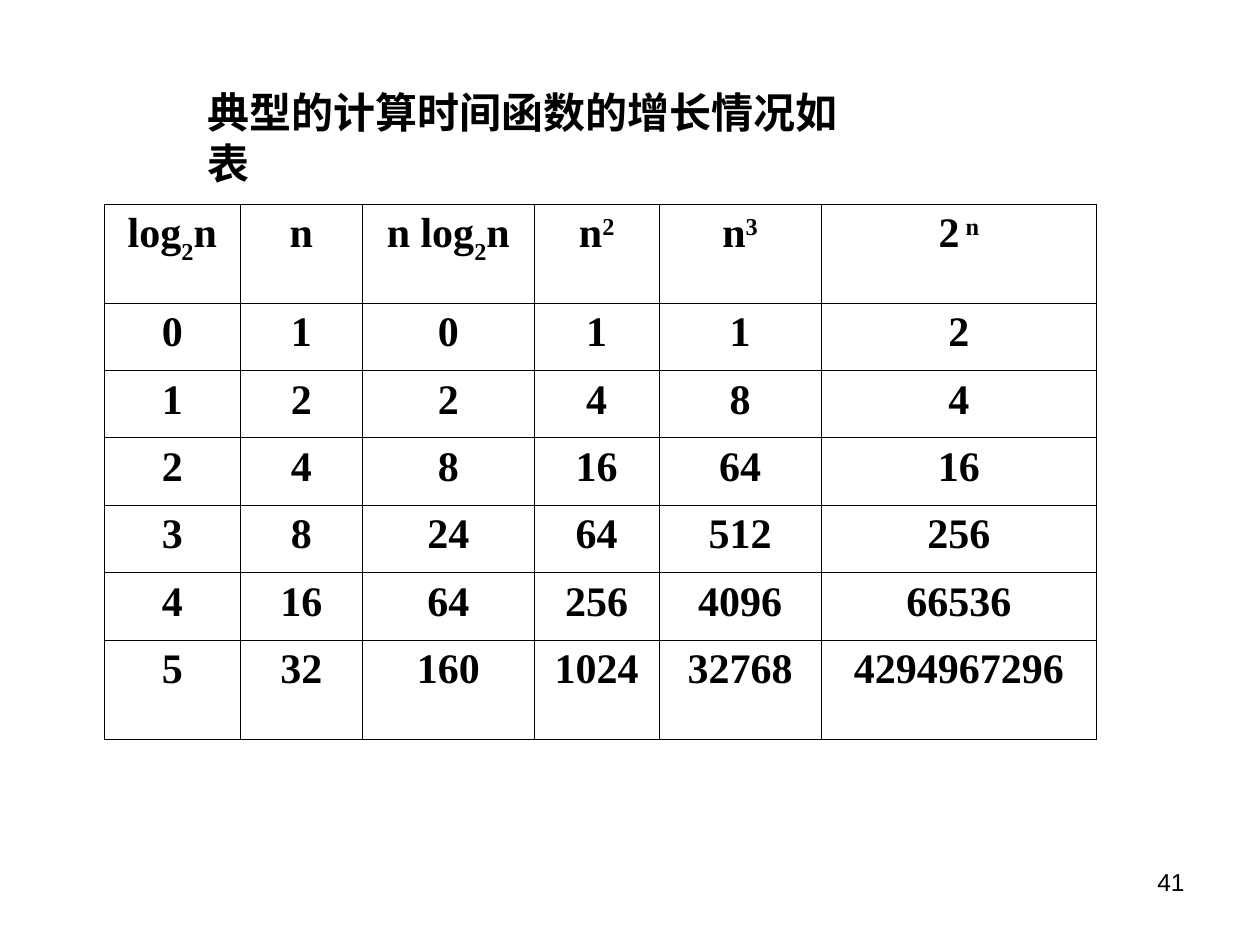
from dataclasses import dataclass

from lxml import etree
from pptx import Presentation
from pptx import util as u
from pptx.dml.color import RGBColor
from pptx.enum import text
from pptx.oxml import ns

Pt = u.Pt


@dataclass(frozen=True)
class Theme:
    ink: str = "000000"
    serif: str = "Times New Roman"
    sans: str = "Arial"
    main: float = 24
    small: float = 14
    rule: float = 0.45


T = Theme()

# Each heading is a list of (text, baseline shift in percent)
HEADS = [
    [("log", 0), ("2", -30), ("n", 0)],
    [("n", 0)],
    [("n log", 0), ("2", -30), ("n", 0)],
    [("n", 0), ("2", 30)],
    [("n", 0), ("3", 30)],
    [("2", 0), (" n", 30)],
]
GROWTH = [
    [0, 1, 0, 1, 1, 2],
    [1, 2, 2, 4, 8, 4],
    [2, 4, 8, 16, 64, 16],
    [3, 8, 24, 64, 512, 256],
    [4, 16, 64, 256, 4096, 66536],
    [5, 32, 160, 1024, 32768, 4294967296],
]
WIDTHS = [77.6, 69.8, 98.2, 71.4, 92.5, 157.5]
HEIGHTS = [56.5] + [38.5] * 5 + [57]


def add_run(para, words, size=T.main, face=T.serif, bold=True, shift=0):
    run = para.add_run()
    run.text = words
    font = run.font
    font.size, font.name, font.bold = Pt(size), face, bold
    font.color.rgb = RGBColor.from_string(T.ink)
    if shift:
        font._element.set("baseline", str(shift * 1000))


def add_label(slide, left, top, width, height, words, align, wrap=True, **style):
    frame = slide.shapes.add_textbox(
        Pt(left), Pt(top), Pt(width), Pt(height)).text_frame
    frame.word_wrap = wrap
    para = frame.paragraphs[0]
    para.alignment = align
    add_run(para, words, **style)
    return frame


def add_edges(cell):
    props = cell._tc.get_or_add_tcPr()
    for i, side in enumerate(("lnL", "lnR", "lnT", "lnB")):
        line = etree.Element(ns.qn(f"a:{side}"), w=str(int(Pt(T.rule))))
        fill = etree.SubElement(line, ns.qn("a:solidFill"))
        etree.SubElement(fill, ns.qn("a:srgbClr"), val=T.ink)
        props.insert(i, line)


def fill_cell(cell, parts):
    cell.fill.background()
    add_edges(cell)
    para = cell.text_frame.paragraphs[0]
    para.alignment = text.PP_ALIGN.CENTER
    for words, shift in parts:
        add_run(para, words, shift=shift)


def add_grid(slide, left, top, rows):
    table = slide.shapes.add_table(
        len(rows), len(WIDTHS), Pt(left), Pt(top),
        Pt(sum(WIDTHS)), Pt(sum(HEIGHTS))).table
    table.first_row = table.horz_banding = False
    for col, width in zip(table.columns, WIDTHS):
        col.width = Pt(width)
    for row, height, items in zip(table.rows, HEIGHTS, rows):
        row.height = Pt(height)
        for cell, parts in zip(row.cells, items):
            fill_cell(cell, parts)


def main():
    deck = Presentation()
    deck.slide_width, deck.slide_height = Pt(720), Pt(540)
    slide = deck.slides.add_slide(deck.slide_layouts[6])

    # Title
    title = add_label(slide, 111.5, 60.5, 398, 36,
                      "典型的计算时间函数的增长情况如表",
                      text.PP_ALIGN.LEFT, wrap=False)
    title.vertical_anchor = text.MSO_ANCHOR.MIDDLE
    title.auto_size = text.MSO_AUTO_SIZE.SHAPE_TO_FIT_TEXT

    # Growth table
    body = [[[(str(value), 0)] for value in row] for row in GROWTH]
    add_grid(slide, 59.7, 116.7, [HEADS] + body)

    # Page number
    add_label(slide, 516, 492, 168, 37.5, "41", text.PP_ALIGN.RIGHT,
              size=T.small, face=T.sans, bold=False)

    deck.save("out.pptx")


if __name__ == "__main__":
    main()
